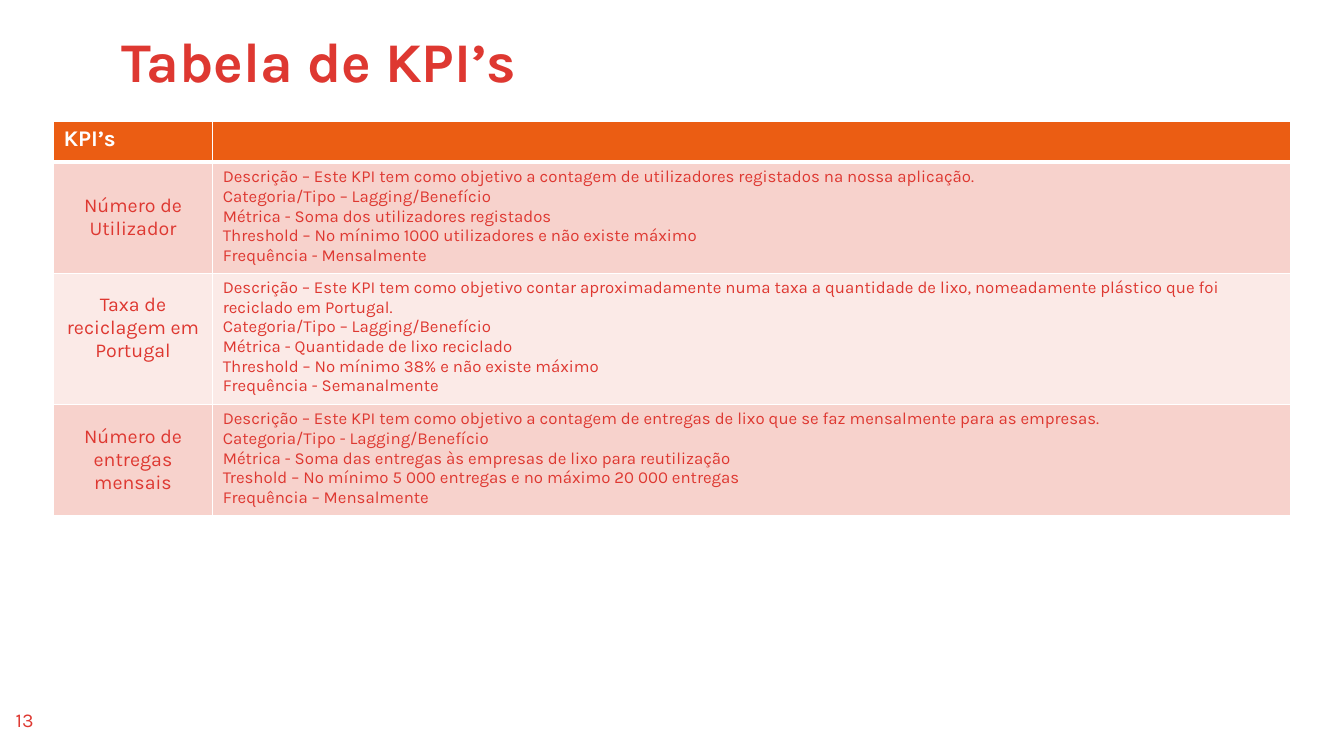
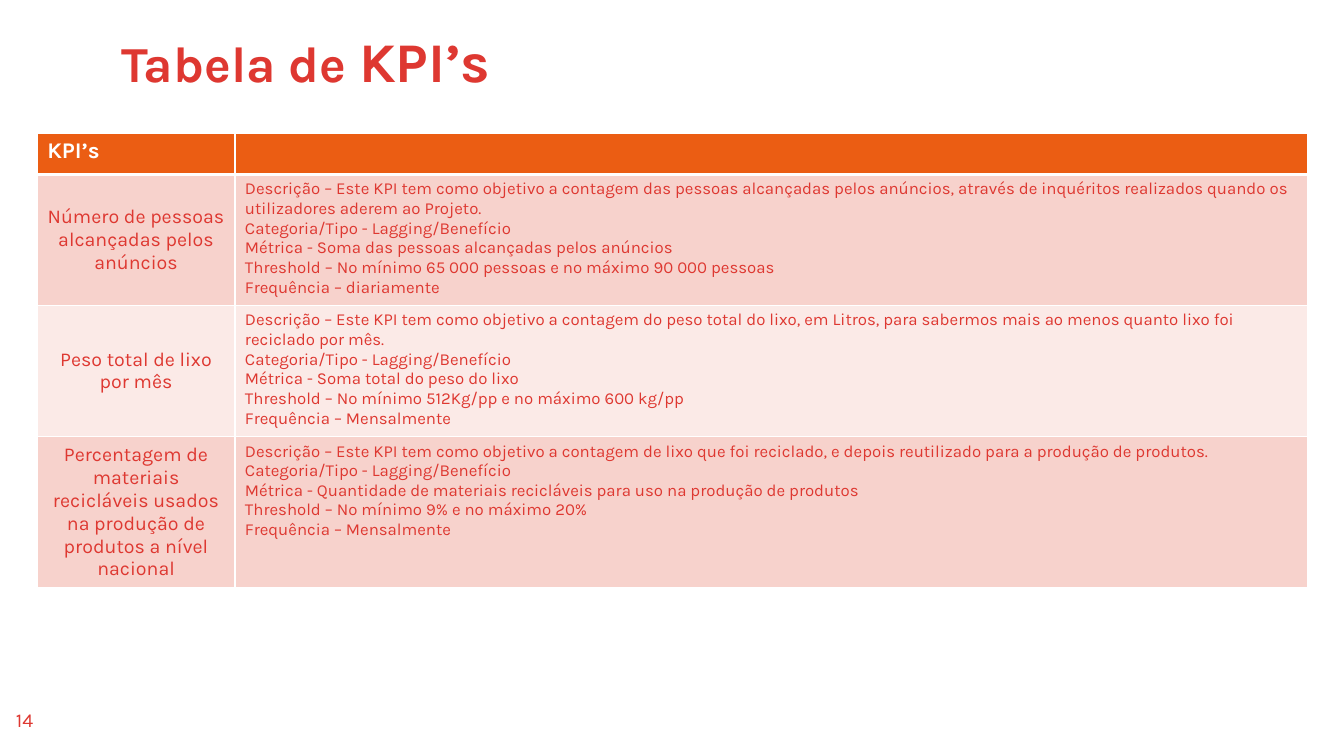
from dataclasses import dataclass

from lxml import etree
from pptx import Presentation
from pptx.dml.color import RGBColor
from pptx.enum.text import MSO_ANCHOR, MSO_AUTO_SIZE, PP_ALIGN
from pptx.oxml.ns import qn
from pptx.util import Inches, Pt

TOP, MIDDLE = MSO_ANCHOR.TOP, MSO_ANCHOR.MIDDLE
LEFT, CENTER = PP_ALIGN.LEFT, PP_ALIGN.CENTER
NO_AUTOFIT = MSO_AUTO_SIZE.NONE
TITLE_ONLY_LAYOUT = 5

SLIDE_WIDTH, SLIDE_HEIGHT = 13.33, 7.5
FONT = "Karla"
RED, ORANGE, WHITE = "DE3831", "EB5D13", "FFFFFF"
BAND_FILLS = ("F7D2CC", "FBEAE7")
HEADER_HEIGHT = 0.41


@dataclass(frozen=True)
class TitleRun:
    text: str
    size: int = 40


@dataclass(frozen=True)
class Kpi:
    name: str
    details: tuple[str, ...]
    height: float
    bottom_margin: float = 0.05


@dataclass(frozen=True)
class KpiPage:
    number: int
    title: tuple[TitleRun, ...]
    left: float
    top: float
    columns: tuple[float, float]
    kpis: tuple[Kpi, ...]


PAGES = (
    KpiPage(13, (TitleRun("Tabela de KPI’s"),), 0.53, 1.2, (1.58, 10.69), (
        Kpi("Número de Utilizador", (
            "Descrição – Este KPI tem como objetivo a contagem de utilizadores registados na nossa aplicação.",
            "Categoria/Tipo – Lagging/Benefício",
            "Métrica - Soma dos utilizadores registados",
            "Threshold – No mínimo 1000 utilizadores e não existe máximo",
            "Frequência - Mensalmente",
        ), 1.06),
        Kpi("Taxa de reciclagem em Portugal", (
            "Descrição – Este KPI tem como objetivo contar aproximadamente numa taxa a quantidade de lixo, "
            "nomeadamente plástico que foi reciclado em Portugal.",
            "Categoria/Tipo – Lagging/Benefício",
            "Métrica - Quantidade de lixo reciclado",
            "Threshold – No mínimo 38% e não existe máximo",
            "Frequência - Semanalmente",
        ), 1.27, 0.27),
        Kpi("Número de entregas mensais", (
            "Descrição – Este KPI tem como objetivo a contagem de entregas de lixo que se faz mensalmente "
            "para as empresas.",
            "Categoria/Tipo - Lagging/Benefício",
            "Métrica - Soma das entregas às empresas de lixo para reutilização",
            "Treshold – No mínimo 5 000 entregas e no máximo 20 000 entregas",
            "Frequência – Mensalmente",
        ), 1.07),
    )),
    KpiPage(14, (TitleRun("Tabela de ", 36), TitleRun("KPI’s")), 0.37, 1.32, (1.96, 10.64), (
        Kpi("Número de pessoas alcançadas pelos anúncios", (
            "Descrição – Este KPI tem como objetivo a contagem das pessoas alcançadas pelos anúncios, "
            "através de inquéritos realizados quando os utilizadores aderem ao Projeto.",
            "Categoria/Tipo - Lagging/Benefício",
            "Métrica - Soma das pessoas alcançadas pelos anúncios",
            "Threshold – No mínimo 65 000 pessoas e no máximo 90 000 pessoas",
            "Frequência – diariamente",
        ), 1.27),
        Kpi("Peso total de lixo por mês", (
            "Descrição – Este KPI tem como objetivo a contagem do peso total do lixo, em Litros, "
            "para sabermos mais ao menos quanto lixo foi reciclado por mês.",
            "Categoria/Tipo - Lagging/Benefício",
            "Métrica - Soma total do peso do lixo",
            "Threshold – No mínimo 512Kg/pp e no máximo 600 kg/pp",
            "Frequência – Mensalmente",
        ), 1.27),
        Kpi("Percentagem de materiais recicláveis usados na produção de produtos a nível nacional", (
            "Descrição – Este KPI tem como objetivo a contagem de lixo que foi reciclado, "
            "e depois reutilizado para a produção de produtos.",
            "Categoria/Tipo - Lagging/Benefício",
            "Métrica - Quantidade de materiais recicláveis para uso na produção de produtos",
            "Threshold – No mínimo 9% e no máximo 20%",
            "Frequência – Mensalmente",
        ), 1.45),
    )),
)


def color(value: str) -> RGBColor:
    return RGBColor.from_string(value)


def style_paragraph(paragraph, size: int, font_color: str = RED, bold: bool = False, alignment=LEFT) -> None:
    paragraph.alignment = alignment
    font = paragraph.font
    font.name, font.size, font.bold = FONT, Pt(size), bold
    font.color.rgb = color(font_color)


def add_title(slide, title_runs: tuple[TitleRun, ...]) -> None:
    title = slide.shapes.title
    title.left, title.top = Inches(1.11), Inches(0.25)
    title.width, title.height = Inches(10.41), Inches(0.63)
    frame = title.text_frame
    frame.auto_size = NO_AUTOFIT
    frame.vertical_anchor = TOP
    frame.margin_top = Inches(0.09)
    paragraph = frame.paragraphs[0]
    paragraph.line_spacing = 0.9
    style_paragraph(paragraph, 40, bold=True)
    for title_run in title_runs:
        run = paragraph.add_run()
        run.text = title_run.text
        run.font.size = Pt(title_run.size)


def add_page_number(slide, number: int) -> None:
    box = slide.shapes.add_textbox(Inches(0.01), Inches(6.97), Inches(0.47), Inches(0.4))
    box.text_frame.word_wrap = True
    paragraph = box.text_frame.paragraphs[0]
    paragraph.text = str(number)
    style_paragraph(paragraph, 14, alignment=CENTER)


def set_borders(cell, top_width: int, bottom_width: int) -> None:
    properties = cell._tc.get_or_add_tcPr()
    for side, width in (("L", 1), ("R", 1), ("T", top_width), ("B", bottom_width)):
        line = etree.SubElement(properties, qn(f"a:ln{side}"), w=str(Pt(width)))
        fill = etree.SubElement(line, qn("a:solidFill"))
        etree.SubElement(fill, qn("a:srgbClr"), val=WHITE)


def format_cell(cell, fill_color: str, row: int) -> None:
    set_borders(cell, 3 if row == 1 else 1, 3 if row == 0 else 1)
    cell.fill.solid()
    cell.fill.fore_color.rgb = color(fill_color)


def fill_kpi_row(table, row: int, kpi: Kpi) -> None:
    table.rows[row].height = Inches(kpi.height)
    name_cell, details_cell = table.cell(row, 0), table.cell(row, 1)
    for cell in (name_cell, details_cell):
        format_cell(cell, BAND_FILLS[(row - 1) % 2], row)
    name_cell.text = kpi.name
    name_cell.vertical_anchor = MIDDLE
    name_cell.margin_bottom = Inches(kpi.bottom_margin)
    style_paragraph(name_cell.text_frame.paragraphs[0], 14, alignment=CENTER)
    details_cell.text = "\n".join(kpi.details)
    for paragraph in details_cell.text_frame.paragraphs:
        style_paragraph(paragraph, 12)


def add_kpi_table(slide, page: KpiPage) -> None:
    height = HEADER_HEIGHT + sum(kpi.height for kpi in page.kpis)
    table = slide.shapes.add_table(
        len(page.kpis) + 1, len(page.columns),
        Inches(page.left), Inches(page.top), Inches(sum(page.columns)), Inches(height),
    ).table
    table.horz_banding = False
    for column, width in zip(table.columns, page.columns):
        column.width = Inches(width)
    table.rows[0].height = Inches(HEADER_HEIGHT)
    for cell in table.rows[0].cells:
        format_cell(cell, ORANGE, 0)
    header = table.cell(0, 0)
    header.text = "KPI’s"
    style_paragraph(header.text_frame.paragraphs[0], 16, WHITE, bold=True)
    for row, kpi in enumerate(page.kpis, start=1):
        fill_kpi_row(table, row, kpi)


def main() -> None:
    presentation = Presentation()
    presentation.slide_width = Inches(SLIDE_WIDTH)
    presentation.slide_height = Inches(SLIDE_HEIGHT)
    for page in PAGES:
        slide = presentation.slides.add_slide(presentation.slide_layouts[TITLE_ONLY_LAYOUT])
        add_title(slide, page.title)
        add_page_number(slide, page.number)
        add_kpi_table(slide, page)
    presentation.save("out.pptx")


if __name__ == "__main__":
    main()
